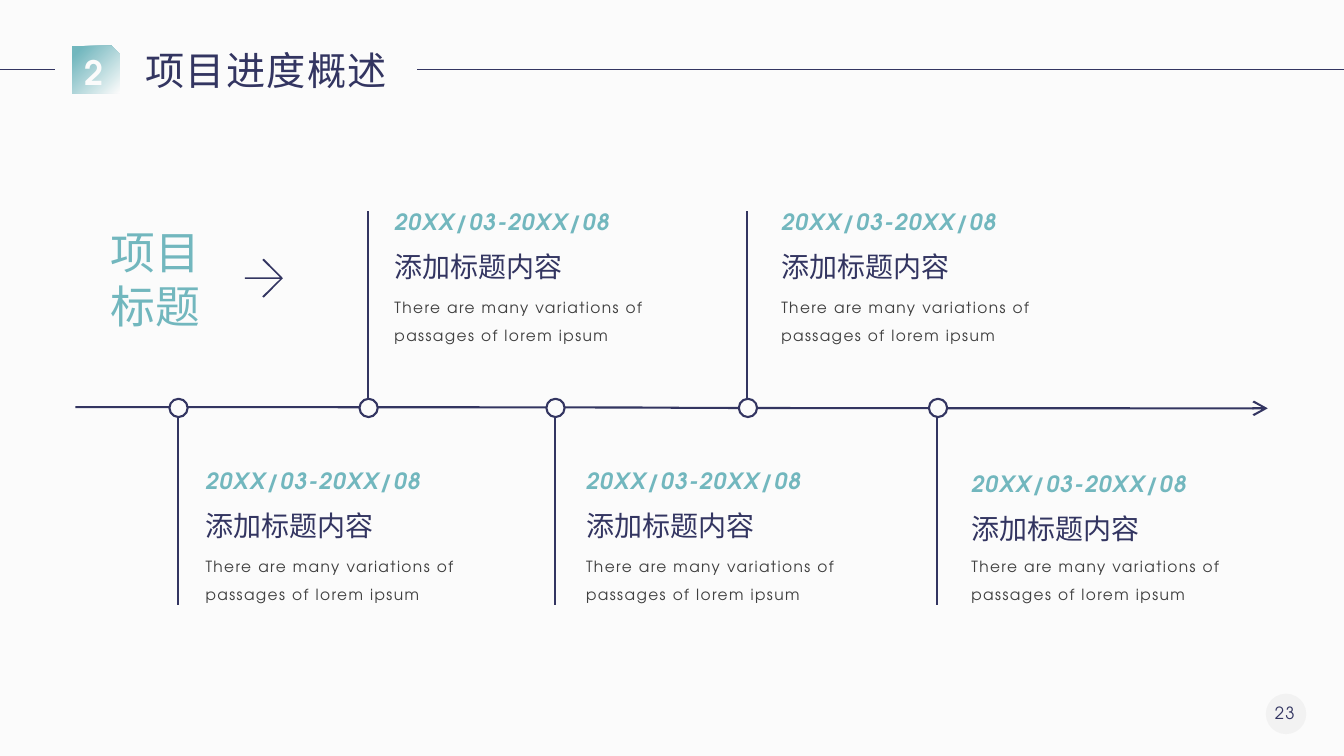
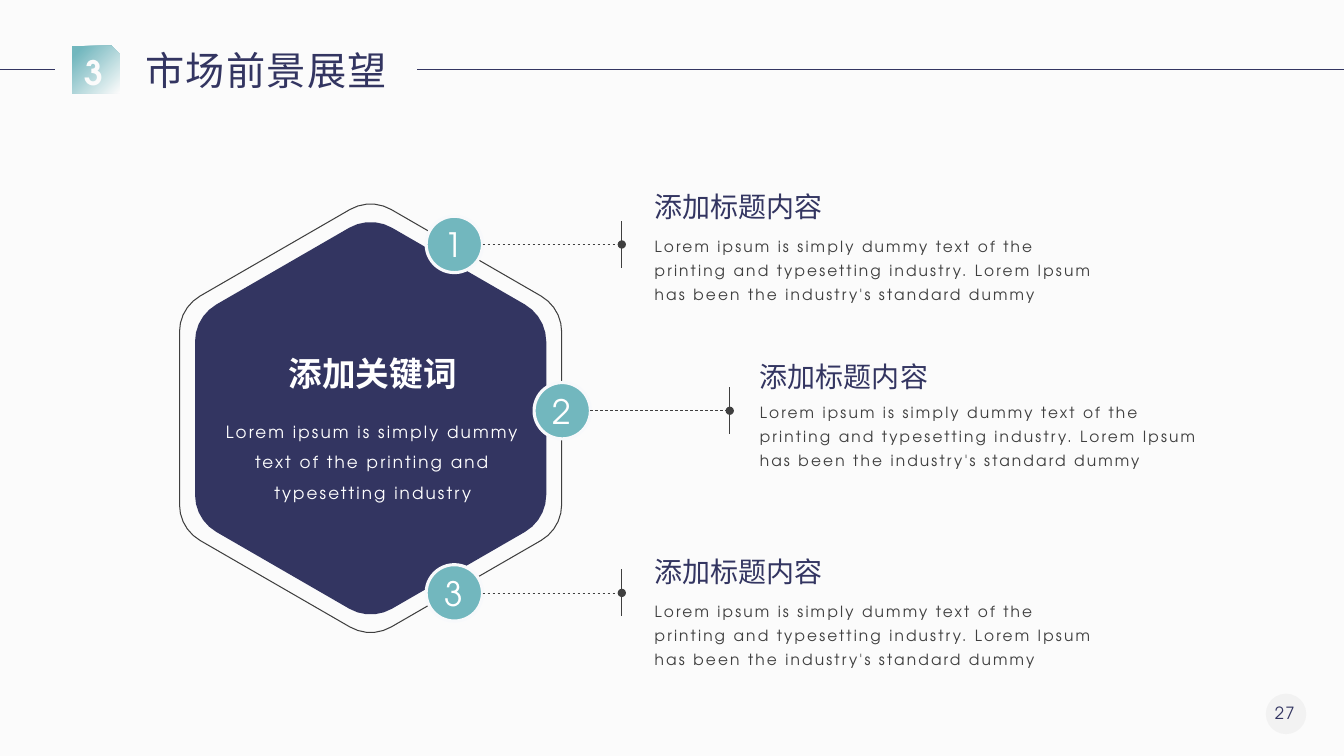
from math import cos, pi, sin, sqrt

from lxml.etree import SubElement
from pptx import Presentation
from pptx.dml.color import RGBColor
from pptx.enum.dml import MSO_LINE
from pptx.enum.shapes import MSO_CONNECTOR, MSO_SHAPE
from pptx.enum.text import MSO_ANCHOR, MSO_AUTO_SIZE, PP_ALIGN
from pptx.oxml.ns import qn
from pptx.util import Cm, Pt

COLORS = {
    "paper": "FBFBFB",
    "navy": "333561",
    "teal": "72B7BE",
    "ink": "3F3F3F",
    "white": "FFFFFF",
    "ring": "F8F9FB",
    "gray": "A6A6A6",
}
CJK = "Noto Sans CJK SC"
LATIN = "TeX Gyre Adventor"
WIDTH, HEIGHT = 33.87, 19.05

DATE = "20XX/03-20XX/08"
HEADING = "添加标题内容"
MILESTONE_TEXT = "There are many variations of passages of lorem ipsum"
CALLOUT_TEXT = (
    "Lorem ipsum is simply dummy text of the printing and typesetting industry. "
    "Lorem Ipsum has been the industry's standard dummy"
)
KEYWORD_TEXT = "Lorem ipsum is simply dummy text of the printing and typesetting industry"


def rgb(name):
    return RGBColor.from_string(COLORS[name])


def write(shape, text, size, color, face=LATIN, bold=False, italic=False,
          spacing=0, align=PP_ALIGN.LEFT, line_spacing=None):
    frame = shape.text_frame
    frame.text = text
    for para in frame.paragraphs:
        para.alignment = align
        if line_spacing:
            para.line_spacing = line_spacing
        for span in para.runs:
            font = span.font
            font.size, font.bold, font.italic = Pt(size), bold, italic
            font.name = face
            font.color.rgb = rgb(color)
            properties = span._r.get_or_add_rPr()
            SubElement(properties, qn("a:ea")).set("typeface", face)
            if spacing:
                properties.set("spc", str(int(spacing * 100)))


def fit(shape, wrap, anchor=MSO_ANCHOR.TOP):
    frame = shape.text_frame
    frame.word_wrap = wrap
    frame.auto_size = MSO_AUTO_SIZE.SHAPE_TO_FIT_TEXT
    frame.vertical_anchor = anchor


def clear_margins(shape):
    frame = shape.text_frame
    frame.margin_left = frame.margin_right = 0
    frame.margin_top = frame.margin_bottom = 0


def add_text(page, left, top, width, height, text, size, color,
             wrap=False, anchor=MSO_ANCHOR.TOP, **style):
    box = page.shapes.add_textbox(Cm(left), Cm(top), Cm(width), Cm(height))
    fit(box, wrap, anchor)
    write(box, text, size, color, **style)
    return box


def add_heading(page, left, top):
    add_text(page, left, top, 4.78, 1.12, HEADING, 20, "navy", face=CJK)


def paint(shape, fill=None, line=None, weight=1.0):
    shape.shadow.inherit = False
    if fill:
        shape.fill.solid()
        shape.fill.fore_color.rgb = rgb(fill)
    else:
        shape.fill.background()
    if line:
        shape.line.color.rgb = rgb(line)
        shape.line.width = Pt(weight)
    else:
        shape.line.fill.background()


def add_circle(page, left, top, size, fill, line=None, weight=1.0):
    circle = page.shapes.add_shape(MSO_SHAPE.OVAL, Cm(left), Cm(top), Cm(size), Cm(size))
    paint(circle, fill, line, weight)
    return circle


def add_line(page, start, end, color, weight, kind=MSO_CONNECTOR.STRAIGHT,
             dash=None, tail=None, tail_size="med"):
    connector = page.shapes.add_connector(kind, *map(Cm, start + end))
    connector.line.color.rgb = rgb(color)
    connector.line.width = Pt(weight)
    if dash:
        connector.line.dash_style = dash
    properties = connector._element.spPr
    if tail:
        SubElement(properties.find(qn("a:ln")), qn("a:tailEnd"),
                   {"type": tail, "w": tail_size, "len": tail_size})
    SubElement(properties, qn("a:effectLst"))


def add_outline(page, points, **look):
    corners = [(Cm(x), Cm(y)) for x, y in points]
    builder = page.shapes.build_freeform(*corners[0], scale=1.0)
    builder.add_line_segments(corners[1:], close=True)
    paint(builder.convert_to_shape(), **look)


def add_rounded_hexagon(page, center_x, center_y, radius, cut, **look):
    steps = 5
    points = []
    for corner in range(6):
        direction = corner * pi / 3 - pi / 2
        arc_x = center_x + (radius - 2 * cut) * cos(direction)
        arc_y = center_y + (radius - 2 * cut) * sin(direction)
        for step in range(steps + 1):
            angle = direction + (step / steps - 0.5) * pi / 3
            points.append((arc_x + sqrt(3) * cut * cos(angle),
                           arc_y + sqrt(3) * cut * sin(angle)))
    add_outline(page, points, **look)


def add_section_badge(page, number):
    badge = page.shapes.add_shape(MSO_SHAPE.SNIP_1_RECTANGLE, Cm(1.82), Cm(1.16), Cm(1.2), Cm(1.2))
    paint(badge)
    badge.fill.gradient()
    badge.fill.gradient_angle = 315
    for stop, position, color in zip(badge.fill.gradient_stops, (0.11, 0.99), ("teal", "paper")):
        stop.position = position
        stop.color.rgb = rgb(color)
    badge.text_frame.vertical_anchor = MSO_ANCHOR.MIDDLE
    write(badge, number, 24, "paper", bold=True, align=PP_ALIGN.CENTER)


def add_page_number(page, number):
    circle = add_circle(page, 31.9, 17.48, 1.02, "gray")
    color = circle._element.spPr.find(qn("a:solidFill"))[0]
    SubElement(color, qn("a:alpha")).set("val", "10000")
    add_text(page, 31.68, 17.58, 1.4, 0.76, number, 12, "navy", wrap=True,
             anchor=MSO_ANCHOR.MIDDLE, spacing=1, align=PP_ALIGN.CENTER)


def add_page(deck, section, title, number):
    page = deck.slides.add_slide(deck.slide_layouts[5])
    add_page_number(page, number)
    for start, end in ((0, 1.39), (10.52, WIDTH)):
        add_line(page, (start, 1.75), (end, 1.75), "navy", 1)
    heading = page.shapes.title
    heading.left, heading.top, heading.width, heading.height = map(Cm, (3.41, 1.04, 6.71, 1.45))
    fit(heading, False, MSO_ANCHOR.MIDDLE)
    write(heading, title, 28, "navy", face=CJK, spacing=1)
    add_section_badge(page, section)
    return page


def add_milestone(page, dot_left, text_left, above, heading_drop=0):
    dot_top, dot_size = 10.05, 0.46
    add_circle(page, dot_left, dot_top, dot_size, "paper", "navy", 1.5)
    stem = dot_left + 0.21
    stem_far, stem_near = (5.32, dot_top) if above else (15.24, dot_top + dot_size)
    add_line(page, (stem, stem_far), (stem, stem_near), "navy", 1.5)
    top = 5.13 if above else 11.65
    add_text(page, text_left, top + heading_drop, 6.3, 0.94, DATE, 16, "teal",
             wrap=True, bold=True, italic=True, spacing=1)
    add_heading(page, text_left, top + 1.04 + heading_drop)
    add_text(page, text_left, top + 2.03, 7.04, 1.68, MILESTONE_TEXT, 11, "ink",
             wrap=True, spacing=1, line_spacing=1.5)


def add_callout(page, number, left, top, text_left, heading_top, body_top):
    size, reach, tick = 1.42, 3.51, 0.59
    circle = add_circle(page, left, top, size, "teal", "ring", 2.25)
    clear_margins(circle)
    circle.text_frame.vertical_anchor = MSO_ANCHOR.MIDDLE
    write(circle, str(number), 24, "white", align=PP_ALIGN.CENTER)
    middle, end = top + size / 2, left + size + reach
    add_line(page, (left + size, middle), (end, middle), "ink", 0.5,
             dash=MSO_LINE.DASH, tail="oval")
    add_line(page, (end, middle - tick), (end, middle + tick), "ink", 0.5)
    add_heading(page, text_left, heading_top)
    add_text(page, text_left, body_top, 12.01, 2.08, CALLOUT_TEXT, 11, "ink",
             wrap=True, spacing=1.5, line_spacing=1.3)


def build_schedule(deck):
    page = add_page(deck, "2", "项目进度概述", "23")
    add_line(page, (1.9, 10.26), (31.95, 10.29), "navy", 1.5,
             kind=MSO_CONNECTOR.CURVE, tail="arrow", tail_size="lg")
    add_text(page, 2.54, 5.52, 2.79, 3, "项目\n标题", 32, "teal",
             anchor=MSO_ANCHOR.MIDDLE, face=CJK)
    arrow = [(6.17, 6.99), (7.06, 6.99), (6.61, 6.55), (6.65, 6.52), (7.13, 7.01),
             (6.65, 7.5), (6.61, 7.47), (7.06, 7.03), (6.17, 7.03)]
    add_outline(page, arrow, fill="navy")
    add_milestone(page, 4.27, 4.93, above=False)
    add_milestone(page, 9.06, 9.69, above=True)
    add_milestone(page, 13.77, 14.52, above=False)
    add_milestone(page, 18.62, 19.44, above=True)
    add_milestone(page, 23.41, 24.23, above=False, heading_drop=0.08)


def build_outlook(deck):
    page = add_page(deck, "3", "市场前景展望", "27")
    add_rounded_hexagon(page, 9.34, 10.54, 5.11, 0.62, fill="navy")
    add_rounded_hexagon(page, 9.34, 10.54, 5.56, 0.6, line="ink", weight=0.75)
    keyword = add_text(page, 6.4, 8.89, 5.99, 1.02, "添加关键词", 24, "white", wrap=True,
                       face=CJK, bold=True, align=PP_ALIGN.CENTER)
    clear_margins(keyword)
    add_text(page, 5.36, 10.25, 8.08, 2.57, KEYWORD_TEXT, 12, "white", wrap=True,
             spacing=1.5, align=PP_ALIGN.CENTER, line_spacing=1.5)
    callouts = [
        (10.74, 5.45, 16.25, 4.65, 5.71),
        (13.46, 9.64, 18.9, 8.94, 9.89),
        (10.74, 14.23, 16.25, 13.84, 14.91),
    ]
    for number, places in enumerate(callouts, 1):
        add_callout(page, number, *places)


def main():
    deck = Presentation()
    deck.slide_width, deck.slide_height = Cm(WIDTH), Cm(HEIGHT)
    background = deck.slide_master.background.fill
    background.solid()
    background.fore_color.rgb = rgb("paper")
    build_schedule(deck)
    build_outlook(deck)
    deck.save("out.pptx")


if __name__ == "__main__":
    main()
